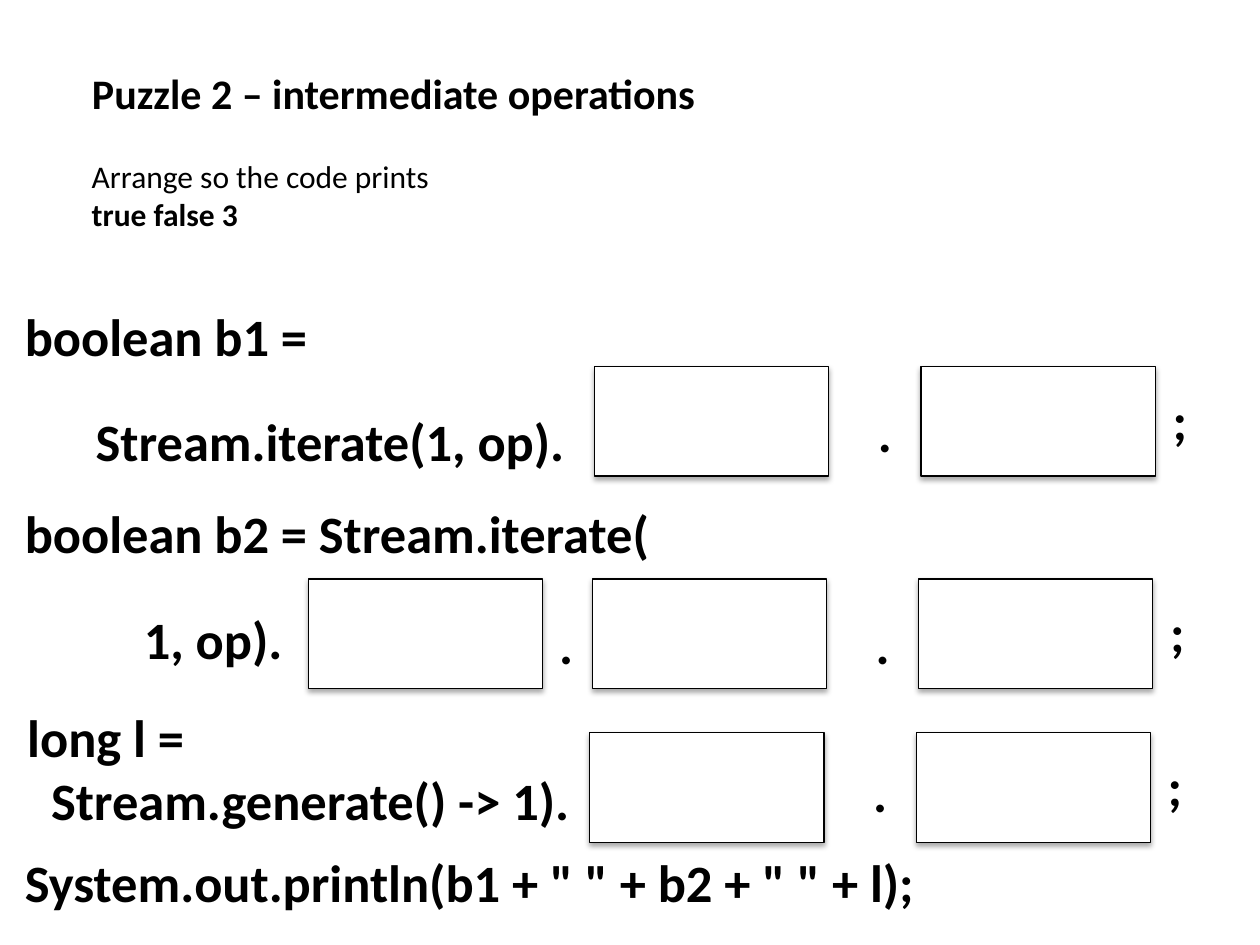
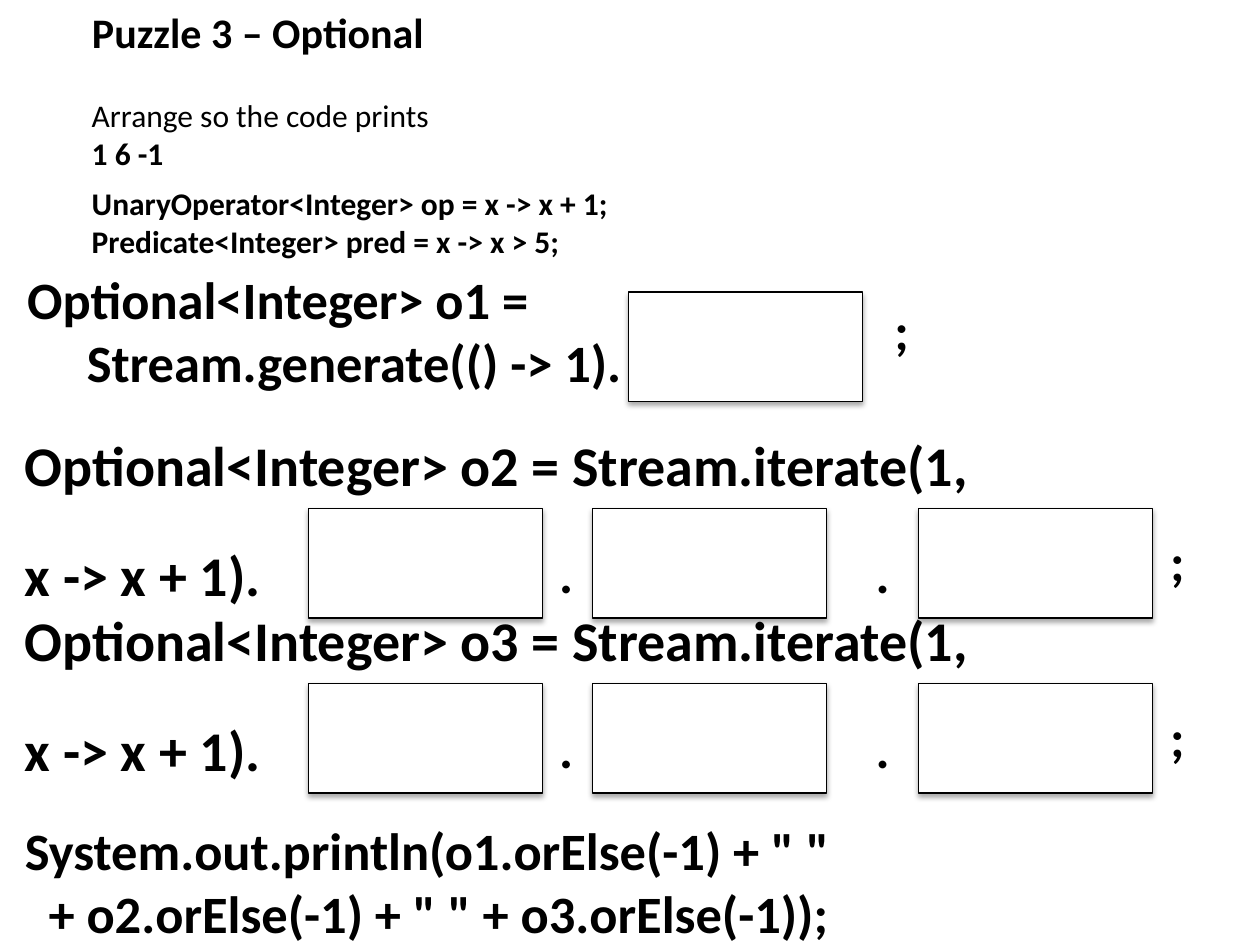
import pptx
import pptx.dml.color
import pptx.enum.shapes
import pptx.enum.text
import pptx.oxml
import pptx.oxml.ns
import pptx.util
from pptx.util import Cm, Pt

COLORS = {"ink": "000000", "paper": "FFFFFF"}
FONT = "Calibri"
CODE_SIZE = 30
CODE_LEFT = 0.25
HEADING_LEFT = 1.6
BLANK_LINE = 24.4  # gap in points between the two lines of a statement

# Answer grid, in centimetres
SLOT_WIDTH, SLOT_HEIGHT = 4.72, 2.21
SLOT_LEFTS = (6.22, 11.94, 18.52)
DOT_LEFTS = (11.02, 17.4)
END_LEFT = 23.34
END_DROP = 0.3
MARK_WIDTH, MARK_HEIGHT = 1.12, 1.55


def color(name):
    return pptx.dml.color.RGBColor.from_string(COLORS[name])


def format_paragraph(paragraph, size, bold=True):
    paragraph.font.name = FONT
    paragraph.font.size = Pt(size)
    paragraph.font.bold = bold
    paragraph.font.color.rgb = color("ink")


def add_text(slide, left, top, width, height, lines, size=CODE_SIZE,
             indent=0, gap=0, bold_first=True):
    """Add a text box; indent and gap apply to the lines after the first."""
    box = slide.shapes.add_textbox(Cm(left), Cm(top), Cm(width), Cm(height))
    frame = box.text_frame
    frame.word_wrap = True
    frame.auto_size = pptx.enum.text.MSO_AUTO_SIZE.SHAPE_TO_FIT_TEXT
    for number, line in enumerate(lines):
        paragraph = frame.add_paragraph() if number else frame.paragraphs[0]
        paragraph.text = line
        format_paragraph(paragraph, size, bold_first or number > 0)
        if number:
            paragraph.space_before = Pt(gap)
            paragraph._p.get_or_add_pPr().set("marL", str(Cm(indent)))


def add_heading(slide, top, title, output):
    """Fill the title and state what the code has to print."""
    shape = slide.shapes.title
    shape.left, shape.top = Cm(HEADING_LEFT), Cm(top)
    shape.width, shape.height = Cm(17.3), Cm(1.28)
    frame = shape.text_frame
    frame.text = title
    frame.vertical_anchor = pptx.enum.text.MSO_ANCHOR.TOP
    paragraph = frame.paragraphs[0]
    paragraph.alignment = pptx.enum.text.PP_ALIGN.LEFT
    format_paragraph(paragraph, 24)
    add_text(slide, HEADING_LEFT, top + 1.81, 17.3, 1.8,
             ["Arrange so the code prints", output], size=18, bold_first=False)


def add_shadow(shape):
    shape.shadow.inherit = False
    effects = shape._element.spPr.find(pptx.oxml.ns.qn("a:effectLst"))
    effects.append(pptx.oxml.parse_xml(
        f'<a:outerShdw {pptx.oxml.ns.nsdecls("a")} blurRad="40000" '
        'dist="23000" dir="5400000" rotWithShape="0">'
        f'<a:srgbClr val="{COLORS["ink"]}"><a:alpha val="35000"/></a:srgbClr>'
        '</a:outerShdw>'))


def add_slot(slide, left, top):
    """Add an empty box for a missing call."""
    slot = slide.shapes.add_shape(
        pptx.enum.shapes.MSO_SHAPE.RECTANGLE,
        Cm(left), Cm(top), Cm(SLOT_WIDTH), Cm(SLOT_HEIGHT))
    slot.fill.solid()
    slot.fill.fore_color.rgb = color("paper")
    slot.line.color.rgb = color("ink")
    slot.line.width = Pt(0.75)
    add_shadow(slot)


def add_mark(slide, mark, left, top):
    add_text(slide, left, top, MARK_WIDTH, MARK_HEIGHT, [mark])


def add_answer_row(slide, top, count, shift=0, dot_drop=0.54):
    """Add the last count slots of the grid, dots between, semicolon after."""
    for left in SLOT_LEFTS[-count:]:
        add_slot(slide, left + shift, top)
    for left in DOT_LEFTS[1 - count:]:
        add_mark(slide, ".", left + shift, top + dot_drop)
    add_mark(slide, ";", END_LEFT + shift, top + END_DROP)


def build_intermediate_puzzle(slide):
    add_heading(slide, 1.24, "Puzzle 2 – intermediate operations",
                "true false 3")
    # Statements
    add_text(slide, CODE_LEFT, 6, 12.7, 3.69,
             ["boolean b1 =", "Stream.iterate(1, op)."],
             indent=1.43, gap=BLANK_LINE)
    add_text(slide, CODE_LEFT, 9.98, 20.9, 3.69,
             ["boolean b2 = Stream.iterate(", "1, op)."],
             indent=2.4, gap=BLANK_LINE)
    add_text(slide, 0.3, 14.08, 12.7, 2.82,
             ["long l =", "Stream.generate() -> 1)."], indent=0.48)
    add_text(slide, CODE_LEFT, 17.02, 24.4, 1.55,
             ['System.out.println(b1 + " " + b2 + " " + l);'])
    # Answers
    add_answer_row(slide, 7.39, 2, shift=0.05)
    add_answer_row(slide, 11.67, 3)
    add_answer_row(slide, 14.77, 2, shift=-0.05, dot_drop=0.43)


def build_optional_puzzle(slide):
    add_heading(slide, 0, "Puzzle 3 – Optional", "1 6 -1")
    add_text(slide, HEADING_LEFT, 3.58, 12.7, 1.8,
             ["UnaryOperator<Integer> op = x -> x + 1;",
              "Predicate<Integer> pred = x -> x > 5;"], size=18)
    # First statement has a single answer
    add_text(slide, 0.3, 5.26, 24.2, 2.82,
             ["Optional<Integer> o1 =", "Stream.generate(() -> 1)."],
             indent=1.2)
    add_slot(slide, 12.67, 5.89)
    add_mark(slide, ";", 17.78, 5.89)
    # The other two share one form
    for name, top in (("o2", 8.56), ("o3", 12.09)):
        add_text(slide, CODE_LEFT, top, 20.9, 3.84,
                 [f"Optional<Integer> {name} = Stream.iterate(1,",
                  "x -> x + 1)."], size=32, gap=BLANK_LINE)
        add_answer_row(slide, top + 1.69, 3)
    add_text(slide, CODE_LEFT, 16.36, 24.4, 2.82,
             ['System.out.println(o1.orElse(-1) + " "',
              '+ o2.orElse(-1) + " " + o3.orElse(-1));'], indent=0.48)


def main():
    presentation = pptx.Presentation()
    presentation.slide_width = Cm(25.4)
    presentation.slide_height = Cm(19.05)
    title_only = presentation.slide_layouts[5]
    for build in (build_intermediate_puzzle, build_optional_puzzle):
        build(presentation.slides.add_slide(title_only))
    presentation.save("out.pptx")


main()
